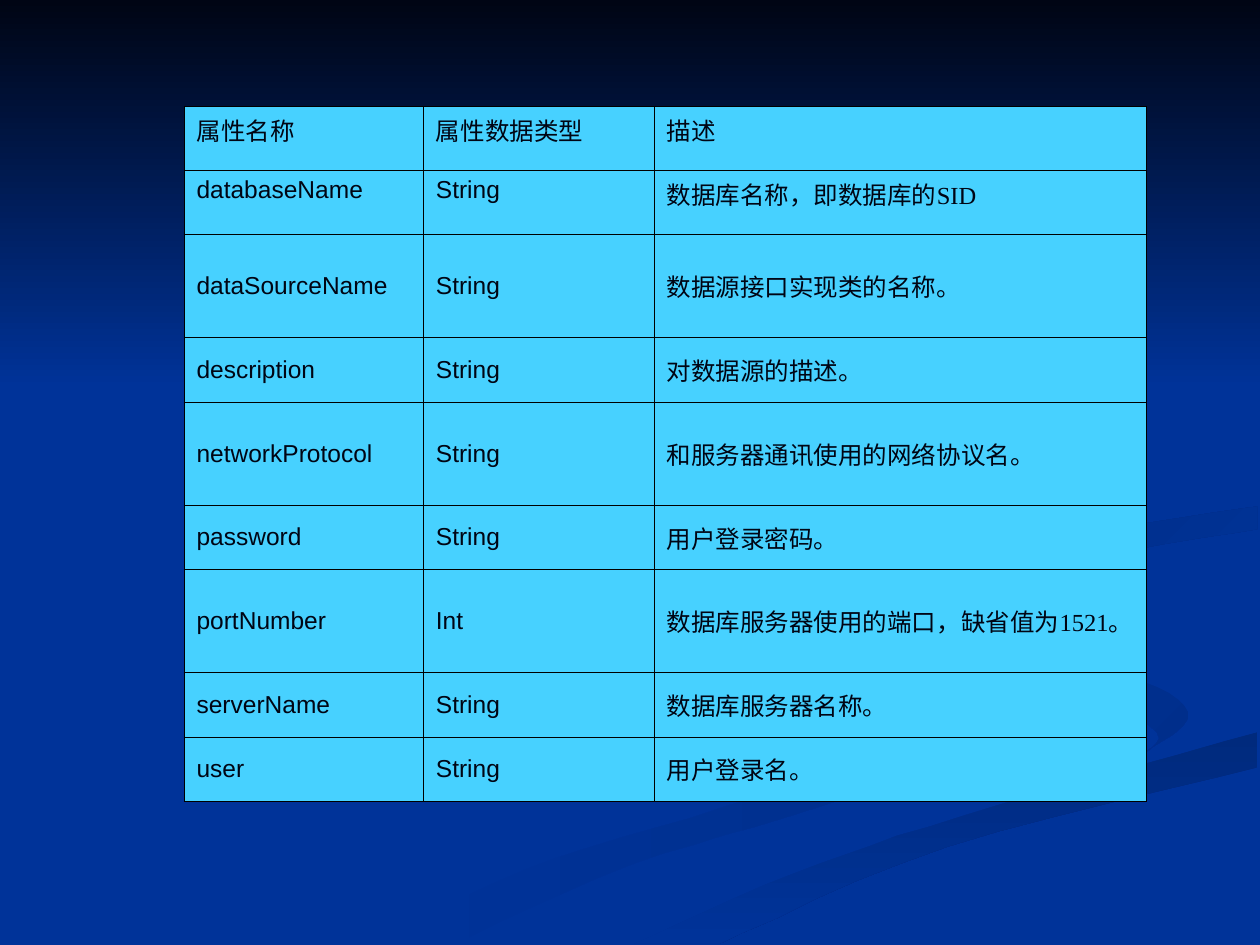
from dataclasses import dataclass
from typing import Optional

from lxml import etree
from pptx import Presentation
from pptx import util as u
from pptx.dml.color import RGBColor
from pptx.enum import text
from pptx.oxml import ns

Point = tuple[int, int]
Edge = list[Point]

PX = 9144
WIDTH, HEIGHT = 1000, 750
STEPS = 6
BLUE = RGBColor(0x00, 0x33, 0x99)
NIGHT = RGBColor(0x00, 0x05, 0x14)
CYAN = RGBColor(0x47, 0xD1, 0xFF)
BLACK = RGBColor(0x00, 0x00, 0x00)
DEEP = RGBColor(0x00, 0x2E, 0x8B)
SHADE = RGBColor(0x00, 0x2A, 0x7D)
FOLD = RGBColor(0x00, 0x2D, 0x86)
CURL = RGBColor(0x00, 0x2B, 0x82)
LATIN = "Arial"
SERIF = "Times New Roman"


@dataclass(frozen=True)
class Ribbon:
    edges: list[Edge]
    start: RGBColor
    end: Optional[RGBColor] = None
    angle: int = 0


@dataclass(frozen=True)
class Row:
    name: str
    kind: str
    description: str
    height: int = 51
    anchor: text.MSO_ANCHOR = text.MSO_ANCHOR.MIDDLE
    font: str = LATIN


BEND = [(724, 464), (774, 503), (905, 540), (943, 570), (894, 605)]
SEAM = [(503, 749), (630, 693), (765, 647), (998, 581)]
LIP = [(781, 463), (865, 424), (998, 402)]

RIBBONS = [
    Ribbon([[(574, 464), (682, 519), (785, 566), (579, 639), (417, 690), (300, 749)],
            [(361, 749), (499, 687), (651, 640), (800, 581), (781, 553)]], BLUE, DEEP),
    Ribbon([BEND, [(894, 605), (918, 581), (838, 536), (746, 500)]], BLUE, DEEP, 45),
    Ribbon([SEAM, [(998, 609), (752, 672), (571, 749)]], SHADE, BLUE, 90),
    Ribbon([[(998, 387), (808, 417), *BEND, (743, 643), (573, 703), (477, 749)],
            SEAM, [(998, 538), (848, 503), *LIP]], BLUE),
    Ribbon([LIP, [(998, 420), (843, 448), (805, 476), (826, 496)]], FOLD, BLUE, 45),
    Ribbon([[(762, 233), (894, 344), (683, 430), (622, 500)],
            [(577, 462), (791, 392), (889, 335)]], CURL, BLUE, 45),
    Ribbon([[(0, 0), (WIDTH, 0)], [(WIDTH, 308), (0, 308)]], NIGHT, BLUE, 90),
]

COLUMNS = [190, 183, 391]
TALL = 82
TOP = text.MSO_ANCHOR.TOP
ROWS = [
    Row("属性名称", "属性数据类型", "描述", anchor=TOP, font=SERIF),
    Row("databaseName", "String", "数据库名称，即数据库的SID", anchor=TOP),
    Row("dataSourceName", "String", "数据源接口实现类的名称。", TALL),
    Row("description", "String", "对数据源的描述。"),
    Row("networkProtocol", "String", "和服务器通讯使用的网络协议名。", TALL),
    Row("password", "String", "用户登录密码。"),
    Row("portNumber", "Int", "数据库服务器使用的端口，缺省值为1521。", TALL),
    Row("serverName", "String", "数据库服务器名称。"),
    Row("user", "String", "用户登录名。"),
]


def blend(a: int, b: int, c: int, d: int, t: float) -> int:
    bend = (2 * a - 5 * b + 4 * c - d) * t + (3 * b - a - 3 * c + d) * t * t
    return round(b + (c - a + bend) * t / 2)


def smooth(edge: Edge) -> Edge:
    padded = [edge[0], *edge, edge[-1]]
    curve = [
        tuple(blend(*axis, step / STEPS) for axis in zip(*padded[i:i + 4]))
        for i in range(len(edge) - 1)
        for step in range(STEPS)
    ]
    return [*curve, edge[-1]]


def draw_ribbon(page, ribbon: Ribbon) -> None:
    points = [point for edge in ribbon.edges for point in smooth(edge)]
    builder = page.shapes.build_freeform(*points[0], scale=PX)
    builder.add_line_segments(points[1:], close=True)
    shape = builder.convert_to_shape()
    shape.shadow.inherit = False
    shape.line.fill.background()
    if ribbon.end is None:
        shape.fill.solid()
        shape.fill.fore_color.rgb = ribbon.start
        return
    shape.fill.gradient()
    shape.fill.gradient_angle = -ribbon.angle % 360
    for stop, color in zip(shape.fill.gradient_stops, (ribbon.start, ribbon.end)):
        stop.color.rgb = color


def add_borders(cell, color: RGBColor, width: int) -> None:
    properties = cell._tc.get_or_add_tcPr()
    for side in ("lnL", "lnR", "lnT", "lnB"):
        line = etree.SubElement(properties, ns.qn(f"a:{side}"), w=str(width))
        fill = etree.SubElement(line, ns.qn("a:solidFill"))
        etree.SubElement(fill, ns.qn("a:srgbClr"), val=str(color))


def fill_cell(cell, words: str, font: str, anchor: text.MSO_ANCHOR) -> None:
    add_borders(cell, BLACK, u.Pt(0.45))
    cell.fill.solid()
    cell.fill.fore_color.rgb = CYAN
    cell.vertical_anchor = anchor
    cell.text_frame.text = words
    span = cell.text_frame.paragraphs[0].runs[0]
    span.font.size = u.Pt(14)
    span.font.name = font
    span.font.color.rgb = NIGHT


def draw_table(page, left: int, top: int) -> None:
    width = sum(COLUMNS)
    height = sum(row.height for row in ROWS)
    frame = page.shapes.add_table(len(ROWS), len(COLUMNS), left * PX, top * PX,
                                  width * PX, height * PX)
    table = frame.table
    table.first_row = False
    table.horz_banding = False
    for column, column_width in zip(table.columns, COLUMNS):
        column.width = column_width * PX
    for table_row, row in zip(table.rows, ROWS):
        table_row.height = row.height * PX
        words = (row.name, row.kind, row.description)
        for cell, value, font in zip(table_row.cells, words, (row.font, row.font, SERIF)):
            fill_cell(cell, value, font, row.anchor)


def main() -> None:
    deck = Presentation()
    deck.slide_width = WIDTH * PX
    deck.slide_height = HEIGHT * PX
    page = deck.slides.add_slide(deck.slide_layouts[6])
    page.background.fill.solid()
    page.background.fill.fore_color.rgb = BLUE
    for ribbon in RIBBONS:
        draw_ribbon(page, ribbon)
    draw_table(page, 146, 84)
    deck.save("out.pptx")


if __name__ == "__main__":
    main()
